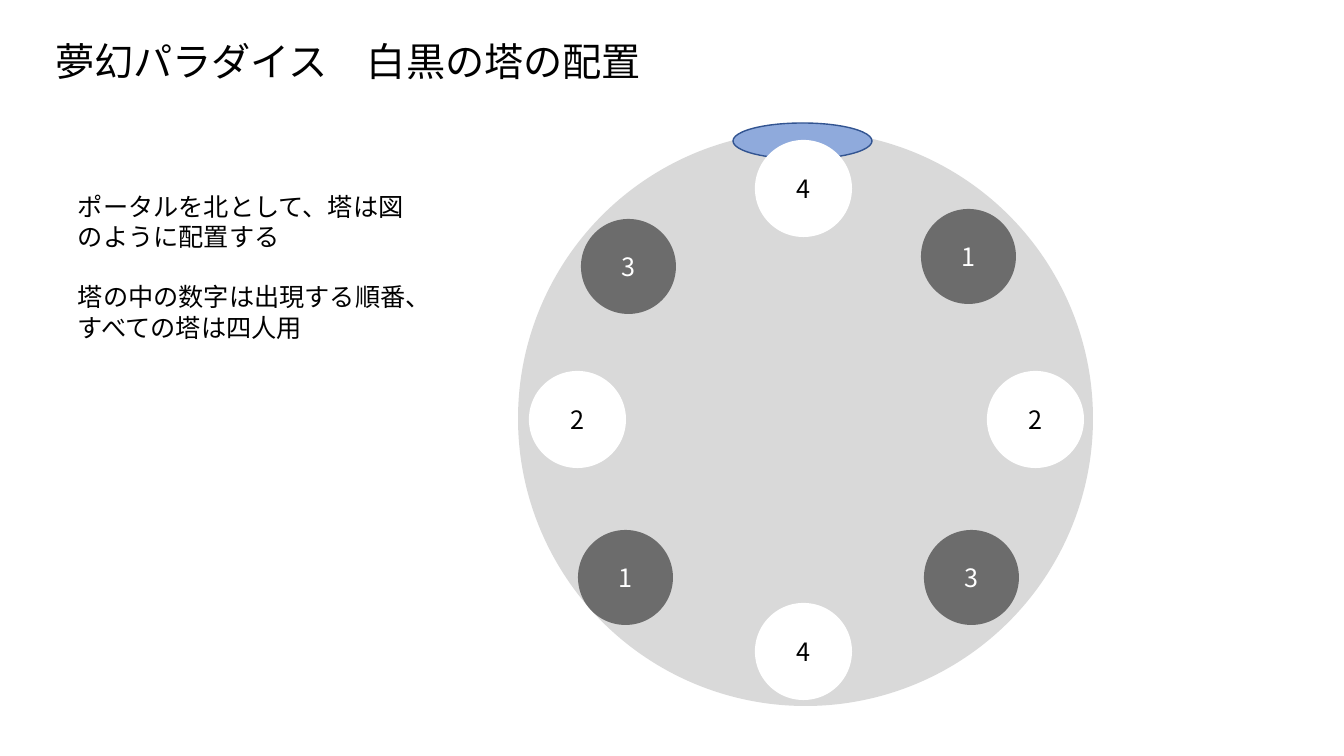
"""Build the slide showing where the white and black towers stand."""
from lxml import etree
from pptx import Presentation
from pptx.dml.color import RGBColor
from pptx.enum.shapes import MSO_SHAPE
from pptx.enum.text import MSO_ANCHOR, PP_ALIGN
from pptx.oxml.ns import qn
from pptx.util import Emu, Pt

TITLE = "夢幻パラダイス　白黒の塔の配置"
NOTES = ["ポータルを北として、塔は図のように配置する",
         "塔の中の数字は出現する順番、すべての塔は四人用"]
WHITE_TOWERS = [("2", 530, 372), ("4", 756, 141), ("4", 756, 604), ("2", 988, 372)]
BLACK_TOWERS = [("1", 578, 530), ("3", 581, 219), ("3", 924, 530), ("1", 921, 209)]

TITLE_BOX = (45, 30, 1252, 85)
NOTES_BOX = (68, 186, 368, 194)
ARENA = (518, 131, 575, 575)
PORTAL = (733, 123, 139, 36)
TOWER_SIZE = 95

FONT = "Noto Sans CJK SC"
BLACK = RGBColor(0x00, 0x00, 0x00)
WHITE = RGBColor(0xFF, 0xFF, 0xFF)
GREY = RGBColor(0xD9, 0xD9, 0xD9)
BLUE = RGBColor(0x8F, 0xAA, 0xDC)
NAVY = RGBColor(0x32, 0x54, 0x91)


def px(value):
    return Emu(round(value * 914400 / 100.8))


def write(paragraph, text, size, color, align=PP_ALIGN.LEFT):
    paragraph.alignment = align
    run = paragraph.add_run()
    run.text = text
    run.font.size = Pt(size)
    run.font.name = FONT
    run.font.color.rgb = color
    latin = run.font._element.find(qn("a:latin"))
    east_asian = etree.Element(qn("a:ea"), typeface=FONT)
    latin.addnext(east_asian)


def add_ellipse(box, fill, line=None, width=1):
    ellipse = slide.shapes.add_shape(MSO_SHAPE.OVAL, *map(px, box))
    ellipse.shadow.inherit = False
    ellipse.fill.solid()
    ellipse.fill.fore_color.rgb = fill
    if line is None:
        ellipse.line.fill.background()
    else:
        ellipse.line.color.rgb = line
        ellipse.line.width = Pt(width)
    return ellipse


def add_tower(number, left, top, fill, line, text_color):
    tower = add_ellipse((left, top, TOWER_SIZE, TOWER_SIZE), fill, line, 1.5)
    tower.text_frame.vertical_anchor = MSO_ANCHOR.MIDDLE
    write(tower.text_frame.paragraphs[0], number, 18, text_color, PP_ALIGN.CENTER)
    return tower


prs = Presentation()
prs.slide_width, prs.slide_height = px(1344), px(756)
slide = prs.slides.add_slide(prs.slide_layouts[5])

title = slide.shapes.title
title.left, title.top, title.width, title.height = map(px, TITLE_BOX)
frame = title.text_frame
frame.margin_left = frame.margin_right = frame.margin_top = frame.margin_bottom = px(10)
frame.vertical_anchor = MSO_ANCHOR.TOP
frame.paragraphs[0].line_spacing = Pt(31.5)
write(frame.paragraphs[0], TITLE, 28, BLACK)

notes = slide.shapes.add_textbox(*map(px, NOTES_BOX)).text_frame
notes.word_wrap = True
for index, text in enumerate(NOTES):
    paragraph = notes.add_paragraph() if index else notes.paragraphs[0]
    paragraph.line_spacing = Pt(21.6)
    paragraph.space_before = Pt(21.6 if index else 0)
    write(paragraph, text, 18, BLACK)

add_ellipse(ARENA, GREY)
add_ellipse(PORTAL, BLUE, NAVY)
for number, left, top in WHITE_TOWERS:
    add_tower(number, left, top, WHITE, WHITE, BLACK)
for number, left, top in BLACK_TOWERS:
    tower = add_tower(number, left, top, BLACK, None, WHITE)
    color = tower._element.spPr.find(qn("a:solidFill"))[0]
    etree.SubElement(color, qn("a:alpha"), val="50000")

prs.save("out.pptx")
